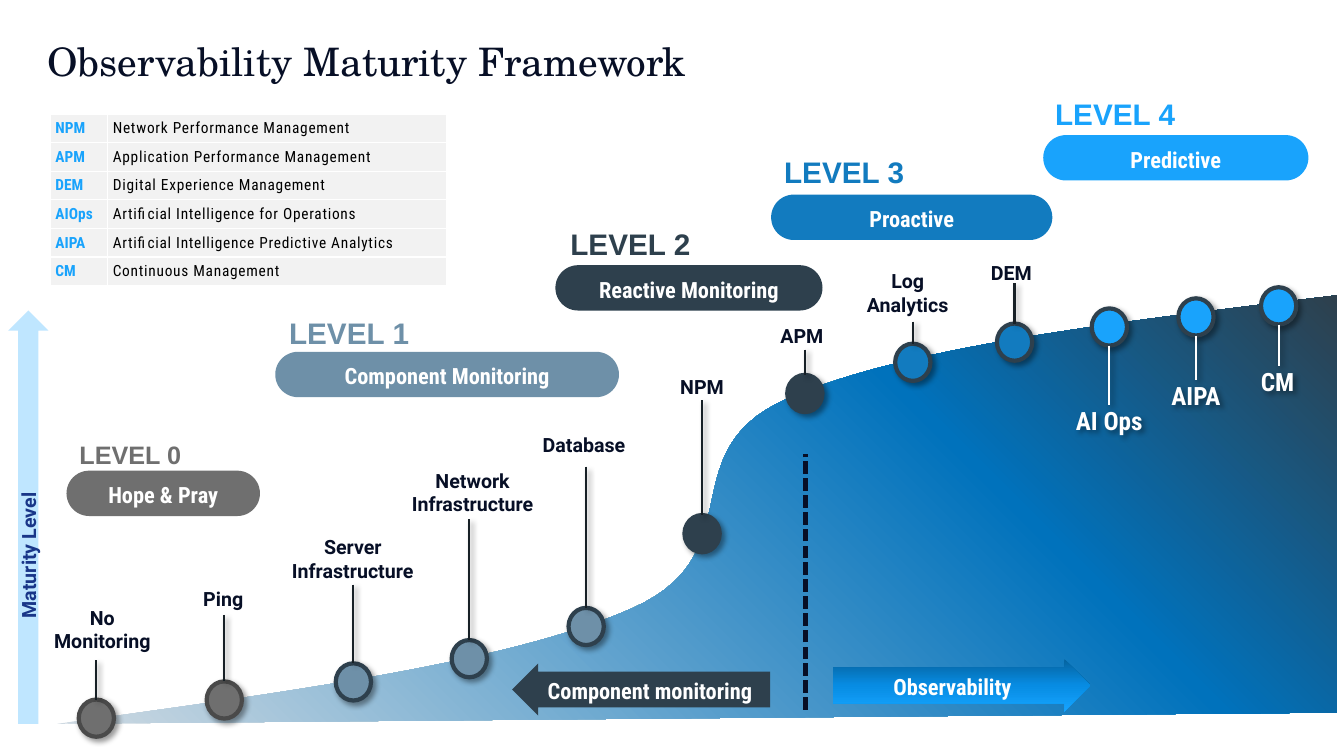
from lxml import etree
from pptx import Presentation
from pptx.dml.color import RGBColor
from pptx.enum.dml import MSO_LINE
from pptx.enum.shapes import MSO_CONNECTOR, MSO_SHAPE
from pptx.enum.text import MSO_ANCHOR, PP_ALIGN
from pptx.oxml.ns import qn
from pptx.util import Pt

LEFT, CENTER = PP_ALIGN.LEFT, PP_ALIGN.CENTER
TOP, MIDDLE = MSO_ANCHOR.TOP, MSO_ANCHOR.MIDDLE
OVAL, PILL = MSO_SHAPE.OVAL, MSO_SHAPE.ROUNDED_RECTANGLE
RIGHT_ARROW, LEFT_ARROW, UP_ARROW = (
    MSO_SHAPE.RIGHT_ARROW, MSO_SHAPE.LEFT_ARROW, MSO_SHAPE.UP_ARROW)
STRAIGHT, DASH = MSO_CONNECTOR.STRAIGHT, MSO_LINE.SQUARE_DOT

WHITE, BLACK = RGBColor(255, 255, 255), RGBColor(0, 0, 0)
NAVY = RGBColor(0x07, 0x0F, 0x26)
STEM = RGBColor(0x17, 0x20, 0x26)
GREY, DARK_GREY = RGBColor(0x6F, 0x6F, 0x6F), RGBColor(0x4A, 0x4A, 0x4A)
STEEL, SLATE = RGBColor(0x6E, 0x90, 0xA8), RGBColor(0x2E, 0x40, 0x4D)
BLUE, SKY = RGBColor(0x12, 0x7B, 0xBF), RGBColor(0x19, 0xA3, 0xFC)
PALE_BLUE, INDIGO = RGBColor(0xBF, 0xE6, 0xFF), RGBColor(0x19, 0x36, 0x88)
CELL = RGBColor(0xF2, 0xF2, 0xF2)

# Content; lengths in points
TITLE = "Observability Maturity Framework"
GLOSSARY = [
    ("NPM", "Network Performance Management"),
    ("APM", "Application Performance Management"),
    ("DEM", "Digital Experience Management"),
    ("AIOps", "Artificial Intelligence for Operations"),
    ("AIPA", "Artificial Intelligence Predictive Analytics"),
    ("CM", "Continuous Management"),
]
# heading, name, colour, heading x, y, size, pill x, y, width
LEVELS = [
    ("LEVEL 0", "Hope & Pray", GREY, 49.7, 310.3, 18, 47.5, 336.2, 138.2),
    ("LEVEL 1", "Component Monitoring", STEEL, 199.4, 221, 21.2, 196.6, 251.3, 245.5),
    ("LEVEL 2", "Reactive Monitoring", SLATE, 400.3, 157.7, 21.2, 396.7, 189.4, 190.8),
    ("LEVEL 3", "Proactive", BLUE, 553, 106.6, 21.2, 550.8, 139, 200.9),
    ("LEVEL 4", "Predictive", SKY, 746.6, 64.8, 21.2, 745.2, 96.5, 189.4),
]
# label, dot fill, dot x, y, label x, y, width, height, stem top
STAGES = [
    ("No Monitoring", GREY, 56.2, 499.7, 28.1, 429.1, 90, 41.8, 471.6),
    ("Ping", GREY, 147.6, 486.7, 114.5, 415.4, 90, 21.6, 439.2),
    ("Server Infrastructure", STEEL, 239.8, 473.8, 196.6, 378.7, 110.9, 41.8, 417.6),
    ("Network\nInfrastructure", STEEL, 322.6, 457.2, 282.2, 331.2, 110.9, 41.8, 370.8),
    ("Database", STEEL, 406.1, 434.2, 372.2, 306, 90, 21.6, 333.4),
    ("NPM", SLATE, 488.9, 367.9, 456.5, 264.2, 90, 21.6, 285.8),
    ("APM", SLATE, 562.3, 267.8, 527.8, 227.5, 90, 21.6, 249.8),
    ("Log\nAnalytics", BLUE, 639.4, 245.5, 603.4, 188.6, 90, 21.6, 229.7),
    ("DEM", BLUE, 712.1, 231.1, 677.5, 182.9, 90, 21.6, 202.3),
]
# label, dot x, y, label x, y, width
AI_STAGES = [
    ("AI Ops", 779.8, 220.3, 756, 289.4, 72.7),
    ("AIPA", 841.7, 213.1, 828.7, 271.4, 51.1),
    ("CM", 900.7, 205.2, 887, 261.4, 51.1),
]
CURVE_START = (41, 517)
CURVES = [  # control, control, end
    ((203.8, 494.6), (365.8, 473), (452.2, 434.2)),
    ((539.3, 395.3), (477.4, 322.6), (561.6, 285.1)),
    ((645.1, 247.7), (799.9, 229.7), (954.7, 211)),
]
CURVE_BASE = (954.7, 509)
CURVE_STOPS = [(0, "CFDAE2"), (69, "0072BC"), (100, "2E404D")]
ARROW_STOPS = [(0, "05639F"), (50, "078CE3"), (100, "16A4FF")]
DOT_W, DOT_H, STEPS = 25.2, 26.6, 30

PILL_FONT = {"size": Pt(16), "name": "Roboto Condensed", "bold": True}
AI_FONT = {"size": Pt(18), "name": "Roboto Condensed", "bold": True}
LABEL_FONT = {"size": Pt(14), "name": "Roboto", "bold": True}
CELL_FONT = {"size": Pt(11), "name": "Roboto Condensed"}

prs = Presentation()
prs.slide_width, prs.slide_height = Pt(960), Pt(540)
slide = prs.slides.add_slide(prs.slide_layouts[6])
shapes = slide.shapes


def write(tf, text, font, color, align=CENTER, anchor=TOP, inset=None,
          wrap=True, spacing=None):
    frame = {"word_wrap": wrap, "vertical_anchor": anchor}
    if inset is not None:
        for side in ("left", "top", "right", "bottom"):
            frame["margin_" + side] = Pt(inset)
    for key, value in frame.items():
        setattr(tf, key, value)
    for i, line in enumerate(text.split("\n")):
        p = tf.paragraphs[0] if i == 0 else tf.add_paragraph()
        p.alignment = align
        if spacing:
            p.line_spacing = spacing
        r = p.add_run()
        r.text = line
        for key, value in font.items():
            setattr(r.font, key, value)
        r.font.color.rgb = color


def add_text(x, y, w, h, text, font, color, **options):
    sp = shapes.add_textbox(Pt(x), Pt(y), Pt(w), Pt(h))
    write(sp.text_frame, text, font, color, **options)
    return sp


def set_fill(sp, fill, angle=0):
    """Fill with one colour, or with a list of gradient stops."""
    if isinstance(fill, RGBColor):
        sp.fill.solid()
        sp.fill.fore_color.rgb = fill
        return
    sp.fill.gradient()
    sp.fill.gradient_angle = angle
    stops = sp._element.spPr.find(".//" + qn("a:gsLst"))
    for stop in list(stops):
        stops.remove(stop)
    for pos, color in fill:
        gs = etree.SubElement(stops, qn("a:gs"), pos=str(pos * 1000))
        etree.SubElement(gs, qn("a:srgbClr"), val=color)


def add_shape(kind, x, y, w, h, fill, adj=(), angle=0):
    sp = shapes.add_shape(kind, Pt(x), Pt(y), Pt(w), Pt(h))
    sp.shadow.inherit = False
    for i, value in enumerate(adj):
        sp.adjustments[i] = value
    set_fill(sp, fill, angle)
    sp.line.fill.background()
    return sp


def add_shadow(sp):
    spPr = sp._element.spPr
    effects = spPr.find(qn("a:effectLst"))
    if effects is None:
        effects = etree.SubElement(spPr, qn("a:effectLst"))
    shadow = etree.SubElement(effects, qn("a:outerShdw"), blurRad=str(Pt(4)),
                              dist=str(Pt(3)), dir="2700000")
    color = etree.SubElement(shadow, qn("a:srgbClr"), val="000000")
    etree.SubElement(color, qn("a:alpha"), val="40000")


def add_line(x, y1, y2, color, width):
    s = shapes.add_connector(STRAIGHT, Pt(x), Pt(y1), Pt(x), Pt(y2))
    s.line.color.rgb, s.line.width = color, Pt(width)
    etree.SubElement(s._element.spPr, qn("a:effectLst"))
    return s


def add_dot(x, y, fill):
    sp = add_shape(OVAL, x, y, DOT_W, DOT_H, fill)
    sp.line.color.rgb = DARK_GREY if fill == GREY else SLATE
    sp.line.width = Pt(3)
    add_shadow(sp)


def bezier(a, b, c, d, t):
    u = 1 - t
    return tuple(Pt(u**3 * i + 3 * u * u * t * j + 3 * u * t * t * k + t**3 * m)
                 for i, j, k, m in zip(a, b, c, d))


# Area under the maturity curve
points, start = [], CURVE_START
for c1, c2, end in CURVES:
    points += [bezier(start, c1, c2, end, n / STEPS) for n in range(1, STEPS + 1)]
    start = end
points.append(tuple(Pt(v) for v in CURVE_BASE))
builder = shapes.build_freeform(Pt(CURVE_START[0]), Pt(CURVE_START[1]))
builder.add_line_segments(points, close=True)
area = builder.convert_to_shape()
area.shadow.inherit = False
set_fill(area, CURVE_STOPS, 45)
area.line.fill.background()

# Level headings and pills
for heading, name, color, hx, hy, size, x, y, w in LEVELS:
    sp = add_shape(PILL, x, y, w, 32.4, color, (0.5,))
    write(sp.text_frame, name, PILL_FONT, WHITE, anchor=MIDDLE, inset=2.9, spacing=1.1)
    font = {"size": Pt(size), "name": "Arial", "bold": True}
    add_text(hx, hy, 101, size * 1.56, heading, font, color, align=LEFT, wrap=False)

# Stages labelled above the curve
for label, fill, x, y, lx, ly, lw, lh, top in STAGES:
    add_dot(x, y, fill)
    add_shadow(add_line(x + DOT_W / 2, top, y, STEM, 1.5))
    add_text(lx, ly, lw, lh, label, LABEL_FONT, NAVY)

# Stages labelled inside the area
for label, x, y, lx, ly, lw in AI_STAGES:
    add_dot(x, y, SKY)
    add_shadow(add_line(x + DOT_W / 2, y + DOT_H, ly, WHITE, 1.5))
    add_shadow(add_text(lx, ly, lw, 21.6, label, AI_FONT, WHITE, inset=0))

# Divider and direction arrows
add_line(575.3, 506.9, 324, NAVY, 3).line.dash_style = DASH
for kind, x, y, fill, adj, text in [
    (RIGHT_ARROW, 594.7, 470.9, ARROW_STOPS, 0.7, "Observability"),
    (LEFT_ARROW, 365.8, 473.8, SLATE, 0.68, "Component monitoring"),
]:
    sp = add_shape(kind, x, y, 184.3, 37.4, fill, (adj, 0.5), 270)
    write(sp.text_frame, text, PILL_FONT, WHITE, anchor=MIDDLE, inset=2.9, spacing=1.1)

# Glossary table
ROW_H, COLS = 20.4, (41, 241.9)
table = shapes.add_table(len(GLOSSARY), 2, Pt(36), Pt(81.4), Pt(sum(COLS)),
                         Pt(ROW_H * len(GLOSSARY))).table
table.first_row = table.horz_banding = False
for col, width in zip(table.columns, COLS):
    col.width = Pt(width)
for i, entry in enumerate(GLOSSARY):
    table.rows[i].height = Pt(ROW_H)
    for j, text in enumerate(entry):
        cell = table.cell(i, j)
        cell.fill.solid()
        cell.fill.fore_color.rgb = CELL
        cell.vertical_anchor = MIDDLE
        write(cell.text_frame, text, {**CELL_FONT, "bold": j == 0},
              BLACK if j else SKY, align=LEFT)
        for side in ("left", "top", "right", "bottom"):
            setattr(cell, "margin_" + side, Pt(3.6))
        if j:
            cell.text_frame.paragraphs[0].runs[0]._r.get_or_add_rPr().set("spc", "50")
        tcPr = cell._tc.get_or_add_tcPr()
        for n, tag in enumerate(("a:lnL", "a:lnR", "a:lnT", "a:lnB")):
            ln = etree.Element(qn(tag), w=str(Pt(1)))
            solid = etree.SubElement(ln, qn("a:solidFill"))
            etree.SubElement(solid, qn("a:srgbClr"), val="FFFFFF")
            tcPr.insert(n, ln)

# Title and maturity axis
add_text(26.6, 23, 869.8, 41.8, TITLE, {"size": Pt(28), "name": "TeX Gyre Schola"},
         NAVY, align=LEFT)
add_shape(UP_ARROW, 5.8, 221.8, 28.8, 295.2, PALE_BLUE)
add_text(-45.4, 388.1, 131.8, 17.3, "Maturity Level", LABEL_FONT, INDIGO,
         inset=0).rotation = 270

prs.save("out.pptx")
